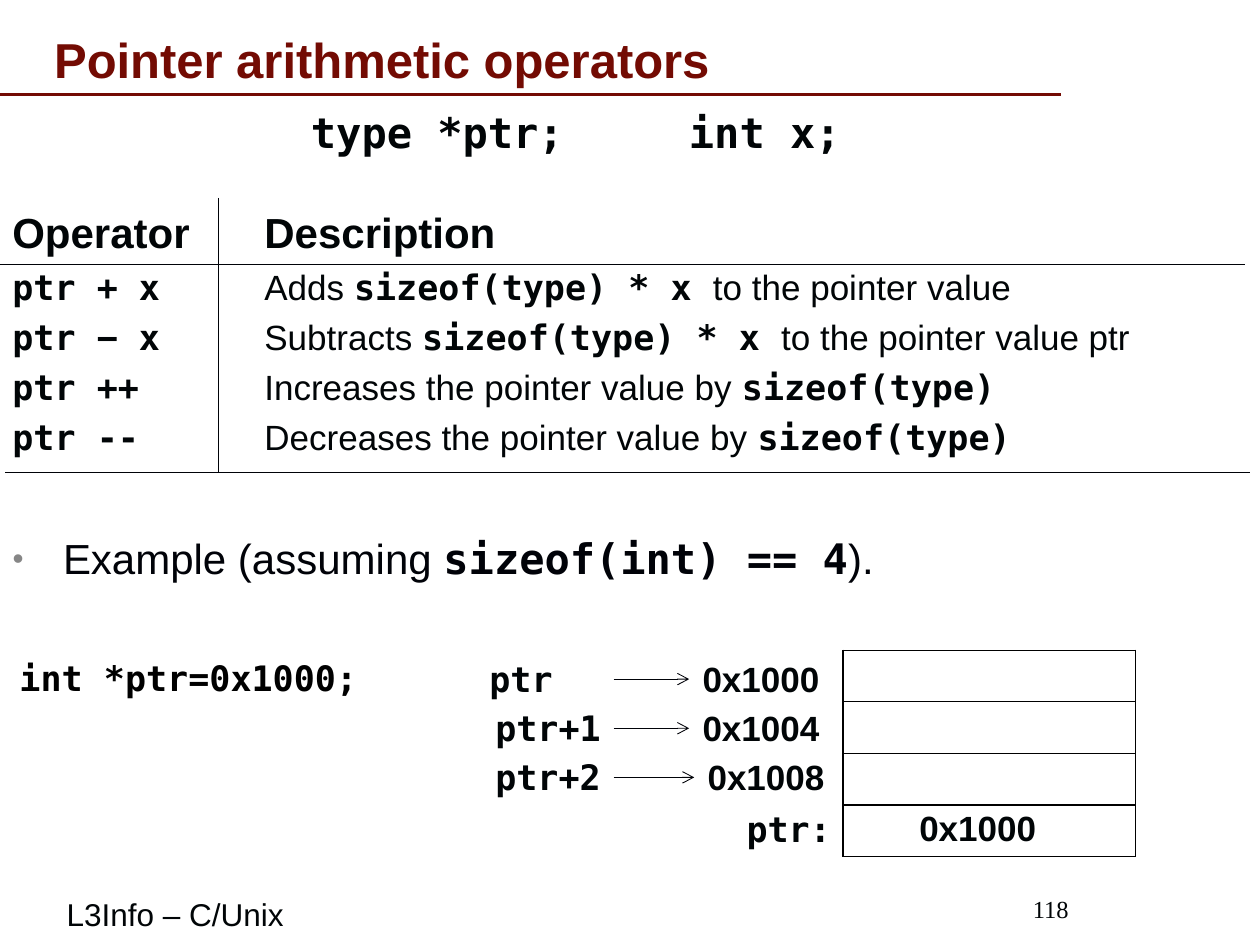
from lxml.etree import SubElement
from pptx import Presentation
from pptx.dml.color import RGBColor
from pptx.enum.shapes import MSO_CONNECTOR
from pptx.enum.text import MSO_ANCHOR, MSO_AUTO_SIZE, PP_ALIGN
from pptx.oxml.ns import qn
from pptx.util import Inches, Pt

MAROON = RGBColor(0x73, 0x0B, 0x03)
INK = RGBColor(0x01, 0x05, 0x07)
LINE_INK = RGBColor(0x00, 0x02, 0x08)
BLACK = RGBColor(0x00, 0x00, 0x00)
WHITE = RGBColor(0xFF, 0xFF, 0xFF)
BULLET_GREY = RGBColor(0x86, 0x86, 0x86)
SANS = "Arial"
MONO = "DejaVu Sans Mono"
SERIF = "Times New Roman"


class SlideBuilder:
    """Holds the style and the current slide, and adds each kind of element."""

    def __init__(self, presentation):
        self.slide = presentation.slides.add_slide(presentation.slide_layouts[1])

    def place(self, shape, left, top, width, height):
        shape.left, shape.top = Inches(left), Inches(top)
        shape.width, shape.height = Inches(width), Inches(height)

    def add_runs(self, paragraph, runs, size, color=INK):
        for text, font_name, bold in runs:
            run = paragraph.add_run()
            run.text = text
            run.font.name = font_name
            run.font.size = Pt(size)
            run.font.bold = bold
            run.font.color.rgb = color

    def tab_stop(self, paragraph, position):
        tab_list = SubElement(paragraph._p.get_or_add_pPr(), qn("a:tabLst"))
        SubElement(tab_list, qn("a:tab"), pos=str(Inches(position)), algn="l")

    def title(self, text):
        shape = self.slide.shapes.title
        self.place(shape, 0.33, 0.17, 8.5, 0.58)
        frame = shape.text_frame
        frame.auto_size = MSO_AUTO_SIZE.NONE
        frame.vertical_anchor = MSO_ANCHOR.BOTTOM
        paragraph = frame.paragraphs[0]
        paragraph.alignment = PP_ALIGN.LEFT
        self.add_runs(paragraph, [(text, SANS, True)], 28, MAROON)

    def bullet(self, runs):
        shape = self.slide.placeholders[1]
        self.place(shape, 0, 4.18, 9.65, 0.63)
        shape.text_frame.auto_size = MSO_AUTO_SIZE.NONE
        paragraph = shape.text_frame.paragraphs[0]
        properties = paragraph._p.get_or_add_pPr()
        properties.set("marL", str(Inches(0.4)))
        properties.set("indent", str(Inches(-0.4)))
        bullet_color = SubElement(properties, qn("a:buClr"))
        SubElement(bullet_color, qn("a:srgbClr"), val=str(BULLET_GREY))
        SubElement(properties, qn("a:buSzPct"), val="75000")
        SubElement(properties, qn("a:buFont"), typeface=SANS)
        SubElement(properties, qn("a:buChar"), char="•")
        paragraph.space_before = Pt(0)
        self.add_runs(paragraph, runs, 24, LINE_INK)

    def text_box(self, left, top, width, height, wrap=False, anchor=MSO_ANCHOR.TOP):
        shape = self.slide.shapes.add_textbox(
            Inches(left), Inches(top), Inches(width), Inches(height))
        shape.text_frame.word_wrap = wrap
        shape.text_frame.vertical_anchor = anchor
        return shape.text_frame

    def label(self, text, left, top, width, font_name=MONO, color=INK):
        paragraph = self.text_box(left, top, width, 0.44).paragraphs[0]
        paragraph.alignment = PP_ALIGN.CENTER
        self.add_runs(paragraph, [(text, font_name, True)], 20, color)

    def declarations(self, text):
        paragraph = self.text_box(2.37, 0.8, 4.44, 0.5, wrap=True).paragraphs[0]
        self.tab_stop(paragraph, 3)
        self.add_runs(paragraph, [(text, MONO, True)], 24)

    def footer(self, text, left, width, height, font_name, size, alignment):
        frame = self.text_box(left, 7, width, height, True, MSO_ANCHOR.MIDDLE)
        frame.paragraphs[0].alignment = alignment
        self.add_runs(frame.paragraphs[0], [(text, font_name, False)], size)

    def operator_list(self, rows):
        frame = self.text_box(0, 1.59, 10.43, 2.12, wrap=True)
        heading = frame.paragraphs[0]
        self.tab_stop(heading, 2)
        self.add_runs(heading, [("Operator\tDescription", SANS, True)], 24)
        for operator, description in rows:
            paragraph = frame.add_paragraph()
            self.tab_stop(paragraph, 2)
            paragraph.space_before = Pt(4.7)
            self.add_runs(paragraph, [(operator + "\t", MONO, True)] + description, 20)

    def line(self, start, end, color=LINE_INK, width=0.5, arrow=False):
        connector = self.slide.shapes.add_connector(
            MSO_CONNECTOR.STRAIGHT, *(Inches(value) for value in start + end))
        connector.line.color.rgb = color
        connector.line.width = Pt(width)
        if arrow:
            SubElement(connector.line._get_or_add_ln(), qn("a:tailEnd"), type="arrow")
        SubElement(connector._element.spPr, qn("a:effectLst"))

    def memory_table(self, left, top, width, row_height, row_count):
        table = self.slide.shapes.add_table(
            row_count, 1, Inches(left), Inches(top),
            Inches(width), Inches(row_height * row_count)).table
        table.first_row = table.horz_banding = False
        for row in table.rows:
            row.height = Inches(row_height)
            cell = row.cells[0]
            properties = cell._tc.get_or_add_tcPr()
            for side in ("a:lnL", "a:lnR", "a:lnT", "a:lnB"):
                border = SubElement(properties, qn(side), w=str(Pt(0.75)))
                fill = SubElement(border, qn("a:solidFill"))
                SubElement(fill, qn("a:srgbClr"), val=str(BLACK))
            cell.fill.solid()
            cell.fill.fore_color.rgb = WHITE


def main():
    presentation = Presentation()
    presentation.slide_width, presentation.slide_height = Inches(10), Inches(7.5)
    builder = SlideBuilder(presentation)

    builder.line((0, 0.75), (8.42, 0.75), MAROON, 2.25)
    builder.title("Pointer arithmetic operators")
    builder.declarations("type *ptr;\tint x;")

    scaled = ("sizeof(type) * x ", MONO, True)
    size_of_type = ("sizeof(type)", MONO, True)
    builder.operator_list([
        ("ptr + x", [("Adds ", SANS, False), scaled,
                     ("to the pointer value", SANS, False)]),
        ("ptr − x", [("Subtracts ", SANS, False), scaled,
                     ("to the pointer value ptr", SANS, False)]),
        ("ptr ++", [("Increases the pointer value by ", SANS, False), size_of_type]),
        ("ptr --", [("Decreases the pointer value by ", SANS, False), size_of_type]),
    ])
    builder.line((0, 2.1), (9.88, 2.1))
    builder.line((1.73, 1.57), (1.73, 3.75))
    builder.line((0.04, 3.75), (9.92, 3.75))

    builder.bullet([("Example (assuming ", SANS, False),
                    ("sizeof(int) == 4", MONO, True), (").", SANS, False)])

    builder.memory_table(6.69, 5.16, 2.32, 0.41, 4)
    builder.label("int *ptr=0x1000;", 0.05, 5.16, 2.89, color=BLACK)
    pointers = [
        ("ptr", 3.78, 0.71, "0x1000", 5.47),
        ("ptr+1", 3.83, 1.04, "0x1004", 5.47),
        ("ptr+2", 3.83, 1.04, "0x1008", 5.51),
    ]
    for index, (name, left, width, address, address_left) in enumerate(pointers):
        top = 5.17 + 0.39 * index
        builder.label(name, left, top, width)
        builder.label(address, address_left, top, 1.14, SANS)
        builder.line((4.87, top + 0.22), (address_left, top + 0.22), arrow=True)
    builder.label("ptr:", 5.82, 6.36, 0.88)
    builder.label("0x1000", 7.19, 6.35, 1.14, SANS)

    builder.footer("L3Info – C/Unix", 0.43, 6.15, 0.5, SANS, 18, PP_ALIGN.LEFT)
    builder.footer("118", 6.93, 1.65, 0.42, SERIF, 14, PP_ALIGN.RIGHT)
    presentation.save("out.pptx")


if __name__ == "__main__":
    main()
